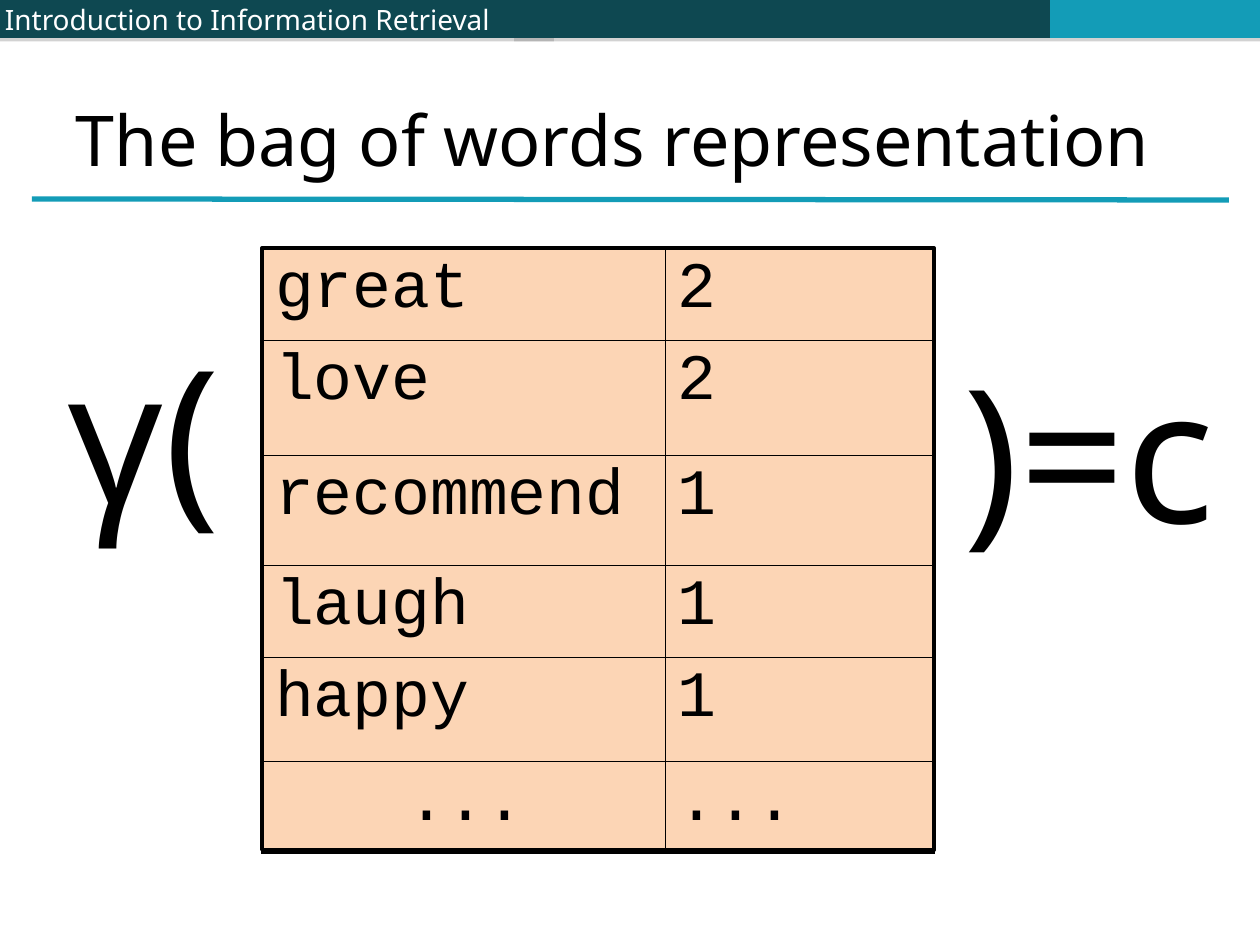
"""Build the slide on the bag of words representation."""
from lxml import etree
from pptx import Presentation, util as u
from pptx.dml.color import RGBColor
from pptx.enum import shapes, text
from pptx.oxml import parse_xml
from pptx.oxml.ns import nsdecls, qn


class Theme:
    dark = RGBColor.from_string("0E4851")
    teal = RGBColor.from_string("139CB7")
    peach = RGBColor.from_string("FCD5B5")
    black = RGBColor.from_string("000000")
    white = RGBColor.from_string("FFFFFF")
    sans, mono = "Noto Sans", "Courier New"
    header, title, cell, formula = 16, 40, 37, 106
    thin, thick = 0.45, 1.08


PX = 914400 / 126
INDENT = 5


def px(*lengths):
    return [u.Emu(round(n * PX)) for n in lengths]


def write(tf, words, size, font, color, margins, anchor=text.MSO_ANCHOR.TOP):
    tf.margin_left, tf.margin_top, tf.margin_right, tf.margin_bottom = px(*margins)
    tf.vertical_anchor = anchor
    p = tf.paragraphs[0]
    pPr = p._p.get_or_add_pPr()
    pPr.set("marL", str(px(INDENT)[0]))
    pPr.set("indent", "0")
    r = p.add_run()
    r.text = words
    r.font.size = u.Pt(size)
    r.font.name = font
    r.font.color.rgb = color
    return p


prs = Presentation()
prs.slide_width, prs.slide_height = px(1260, 945)
s = prs.slides.add_slide(prs.slide_layouts[6])

for left, width, color in ((0, 554, Theme.dark), (514, 536, Theme.dark), (1050, 210, Theme.teal)):
    sp = s.shapes.add_shape(shapes.MSO_SHAPE.RECTANGLE, *px(left, 0, width, 38))
    sp.fill.solid()
    sp.fill.fore_color.rgb = color
    sp.line.fill.background()
    sp._element.spPr.append(parse_xml(
        f'<a:effectLst {nsdecls("a")}><a:outerShdw dist="25400" dir="5400000">'
        '<a:srgbClr val="808080"><a:alpha val="35000"/></a:srgbClr>'
        '</a:outerShdw></a:effectLst>'))
    if left == 0:
        tf = s.shapes.add_textbox(*px(0, -19, 554, 77)).text_frame
        tf.word_wrap = True
        write(tf, "Introduction to Information Retrieval", Theme.header, Theme.sans,
              Theme.white, (0, 0, 5, 0), text.MSO_ANCHOR.MIDDLE)

rule = s.shapes.add_connector(shapes.MSO_CONNECTOR.STRAIGHT, *px(32, 199, 1229, 200))
rule.line.color.rgb = Theme.teal
rule.line.width = u.Pt(3)
etree.SubElement(rule._element.spPr, qn("a:effectLst"))

tf = s.shapes.add_textbox(*px(63, 0, 1155, 189)).text_frame
tf.word_wrap = True
write(tf, "The bag of words representation", Theme.title, Theme.sans,
      Theme.black, (8, 8, 18, 8), text.MSO_ANCHOR.BOTTOM)

panel = s.shapes.add_shape(shapes.MSO_SHAPE.RECTANGLE, *px(262, 248, 672, 602))
panel.shadow.inherit = False
panel.fill.solid()
panel.fill.fore_color.rgb = Theme.peach
panel.line.color.rgb = Theme.black
panel.line.width = u.Pt(2.25)

for words, box, wrap in (("γ(", (63, 319, 190, 231), True), (")=c", (959, 338, 262, 223), False)):
    tf = s.shapes.add_textbox(*px(*box)).text_frame
    tf.word_wrap = wrap
    write(tf, words, Theme.formula, Theme.sans, Theme.black, (0, 0, 5, 0))

counts = [("great", "2"), ("love", "2"), ("recommend", "1"),
          ("laugh", "1"), ("happy", "1"), ("...", "...")]
widths = [403, 269]
heights = [92, 115, 110, 92, 104, 92]
table = s.shapes.add_table(len(counts), 2, *px(262, 248, sum(widths), sum(heights))).table
table.first_row = table.horz_banding = False
for column, width in zip(table.columns, px(*widths)):
    column.width = width
for row, height in zip(table.rows, px(*heights)):
    row.height = height

last = len(counts) - 1
for i, pair in enumerate(counts):
    for j, words in enumerate(pair):
        cell = table.cell(i, j)
        p = write(cell.text_frame, words, Theme.cell, Theme.mono, Theme.black, (0, 0, 0, 0))
        cell.margin_left, cell.margin_top, cell.margin_right, cell.margin_bottom = px(8, 6, 8, 6)
        if (i, j) == (last, 0):
            p.alignment = text.PP_ALIGN.CENTER
        tcPr = cell._tc.get_or_add_tcPr()
        for side, outer in (("L", j == 0), ("R", j == 1), ("T", i == 0), ("B", i == last)):
            width = u.Pt(Theme.thick if outer else Theme.thin)
            tcPr.append(parse_xml(
                f'<a:ln{side} {nsdecls("a")} w="{width}"><a:solidFill>'
                f'<a:srgbClr val="{Theme.black}"/></a:solidFill></a:ln{side}>'))
        cell.fill.background()

prs.save("out.pptx")
